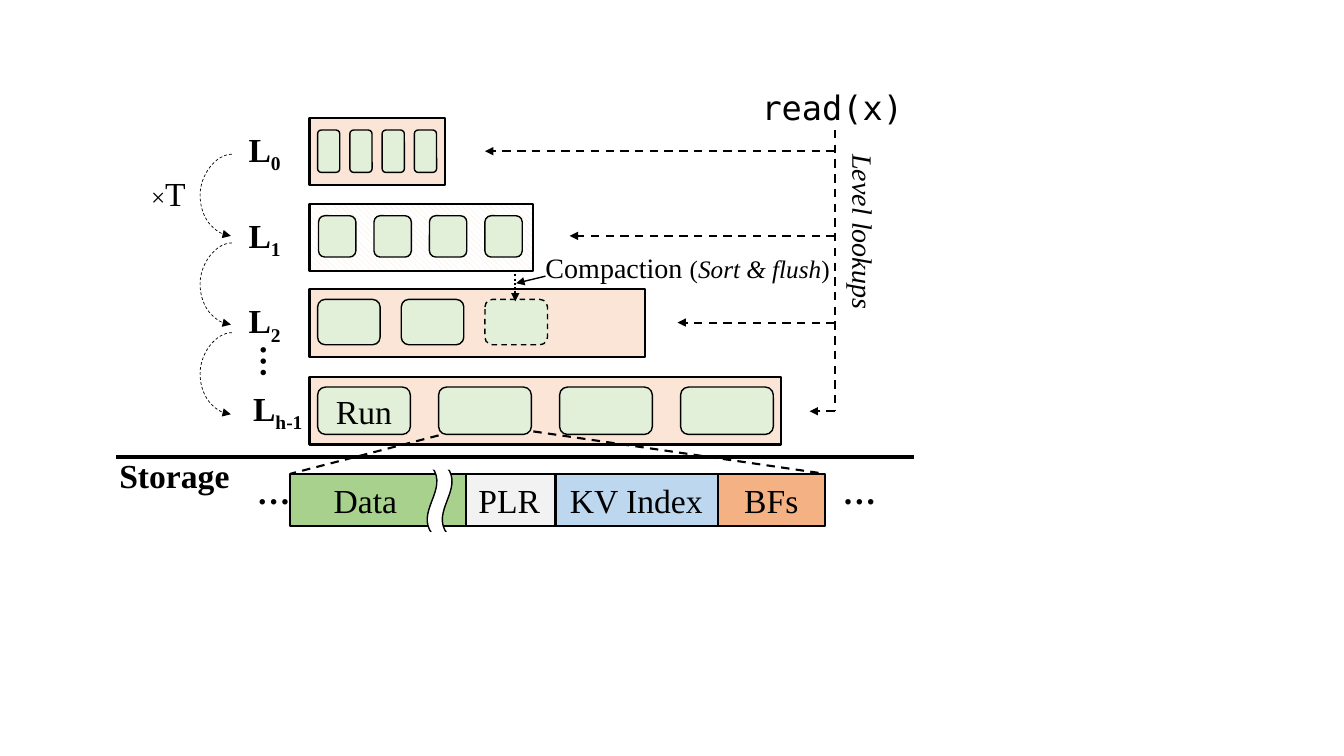
from lxml.etree import SubElement
from pptx import Presentation
from pptx.dml.color import RGBColor
from pptx.enum.dml import MSO_LINE, MSO_PATTERN
from pptx.enum.shapes import MSO_CONNECTOR, MSO_SHAPE
from pptx.enum.text import MSO_ANCHOR, PP_ALIGN
from pptx.oxml.ns import qn
from pptx.util import Inches, Pt

BLACK, WHITE, PEACH, GREEN = "000000", "FFFFFF", "FBE5D6", "E2F0D9"
SERIF, MONO = "Times New Roman", "DejaVu Sans Mono"
color = RGBColor.from_string

prs = Presentation()
prs.slide_width, prs.slide_height = Inches(13.33), Inches(7.5)
slide = prs.slides.add_slide(prs.slide_layouts[6])


def box(at, runs=(), fill=None, width=0, kind=MSO_SHAPE.RECTANGLE, rot=0, wrap=False, font=SERIF):
    """Add a filled shape, or a text box without fill; runs are (text, size, style)."""
    at = [Inches(v) for v in at]
    if fill:
        s = slide.shapes.add_shape(kind, *at)
        s.shadow.inherit = False
        s.fill.solid()
        s.fill.fore_color.rgb = color(fill)
        if width:
            s.line.color.rgb = color(BLACK)
            s.line.width = Pt(width)
        else:
            s.line.fill.background()
    else:
        s = slide.shapes.add_textbox(*at)
    s.rotation = rot
    tf = s.text_frame
    tf.word_wrap = wrap
    tf.vertical_anchor = MSO_ANCHOR.MIDDLE
    p = tf.paragraphs[0]
    p.alignment = PP_ALIGN.CENTER
    for text, size, style in runs:
        r = p.add_run()
        r.text = text
        r.font.name, r.font.size = font, Pt(size)
        r.font.color.rgb = color(BLACK)
        r.font.bold, r.font.italic = "b" in style, "i" in style
        if "_" in style:
            r._r.get_or_add_rPr().set("baseline", "-25000")
    return s


def line(x1, y1, x2, y2, width=1.5, dash=None, arrow=False, kind=MSO_CONNECTOR.STRAIGHT):
    """Add a black connector, with an arrowhead at its end if asked."""
    c = slide.shapes.add_connector(kind, *[Inches(v) for v in (x1, y1, x2, y2)])
    c.line.color.rgb = color(BLACK)
    c.line.width = Pt(width)
    if dash:
        c.line.dash_style = dash
    if arrow:
        SubElement(c.line._get_or_add_ln(), qn("a:tailEnd"), type="triangle")
    SubElement(c._element.spPr, qn("a:effectLst"))
    return c


# Levels: subscript, label place, top, width, then first run place, size and pitch
levels = [
    ("0", (2.21, 1.25, 0.83, 0.51), 1.17, 1.34, (3.15, 1.29, 0.22, 0.42), 0.32, 4),
    ("1", (2.21, 2.1, 0.83, 0.51), 2.02, 2.22, (3.16, 2.14, 0.37, 0.41), 0.55, 4),
    ("2", (2.21, 2.95, 0.83, 0.51), 2.87, 3.33, (3.15, 2.97, 0.62, 0.45), 0.83, 3),
    ("h-1", (2.27, 3.82, 0.97, 0.51), 3.74, 4.68, (3.15, 3.84, 0.92, 0.47), 1.2, 4),
]
for name, label_at, top, width, (x, y, w, h), pitch, count in levels:
    box(label_at, [("L", 24, "b"), (name, 24, "b_")], wrap=True)
    level = box((3.07, top, width, 0.67), fill=PEACH, width=1.5)
    if name == "1":
        level.fill.patterned()
        level.fill.pattern = MSO_PATTERN.WIDE_DOWNWARD_DIAGONAL
        level.fill.fore_color.rgb = color(PEACH)
        level.fill.back_color.rgb = color(WHITE)
    for i in range(count):
        runs = [("Run", 24, "")] if name == "h-1" and i == 0 else []
        run_box = box((x + i * pitch, y, w, h), runs, GREEN, 1, MSO_SHAPE.ROUNDED_RECTANGLE)
        if name == "2" and i == 2:
            run_box.line.dash_style = MSO_LINE.DASH
box((2.31, 3.41, 0.38, 0.5), [("…", 24, "b")], rot=270, wrap=True)

# Growth factor between levels
box((1.09, 1.67, 1.16, 0.5), [("×", 18, ""), ("T", 24, "")], wrap=True)
for y in (1.53, 2.41, 3.3):
    curve = line(2.3, y, 2.29, y + 0.81, 0.5, MSO_LINE.DASH, True, MSO_CONNECTOR.CURVE)
    guides = curve._element.spPr.find(qn("a:prstGeom")).get_or_add_avLst()
    SubElement(guides, qn("a:gd"), name="adj1", fmla="val 3200000")

# Compaction
line(5.11, 2.68, 5.11, 2.99, dash=MSO_LINE.ROUND_DOT, arrow=True)
line(5.41, 2.74, 5.12, 2.81, 1, arrow=True)
box((5.3, 2.43, 3.04, 0.44),
    [("Compaction ", 20, ""), ("(", 18, ""), ("Sort & flush", 18, "i"), (")", 18, "")])

# Level lookups
box((7.21, 0.81, 2.09, 0.5), [("read(x)", 24, "")], wrap=True, font=MONO)
box((7.69, 2.08, 1.75, 0.44), [("Level lookups", 20, "i")], rot=90)
line(8.28, 1.29, 8.28, 4.08, dash=MSO_LINE.DASH)
for x, y in ((4.81, 1.5), (5.65, 2.34), (6.72, 3.2), (8.03, 4.08)):
    line(8.28, y, x, y, dash=MSO_LINE.DASH, arrow=True)

# Layout of one run in storage
box((1.08, 4.46, 1.3, 0.5), [("Storage", 24, "b")])
for x in (2.45, 8.26):
    box((x, 4.62, 0.38, 0.5), [("…", 24, "b")], wrap=True)
for text, x, width, fill in (
    ("KV Index", 5.49, 1.64, "BDD7EE"),
    ("BFs", 7.12, 1.06, "F4B183"),
    ("PLR", 4.59, 0.92, "F2F2F2"),
    ("Data", 2.88, 1.74, "A9D18E"),
):
    part = box((x, 4.7, width, 0.52), [(text, 24, "")], fill, 1.5)
    if text == "Data":
        part.text_frame.margin_right = Inches(0.35)

# Tear across the data block, with its ends covered
tear = box((4.03, 4.84, 0.66, 0.25), fill=WHITE, width=1, kind=MSO_SHAPE.WAVE, rot=270)
tear.adjustments[0], tear.adjustments[1] = 0.2, 0
box((4.23, 4.61, 0.27, 0.05), fill=WHITE)
box((4.16, 5.28, 0.4, 0.05), fill=WHITE)

line(1.15, 4.53, 9.07, 4.53, 3)
line(4.35, 4.32, 2.88, 4.7, dash=MSO_LINE.DASH)
line(5.29, 4.28, 8.18, 4.7, dash=MSO_LINE.DASH)

prs.save("out.pptx")
